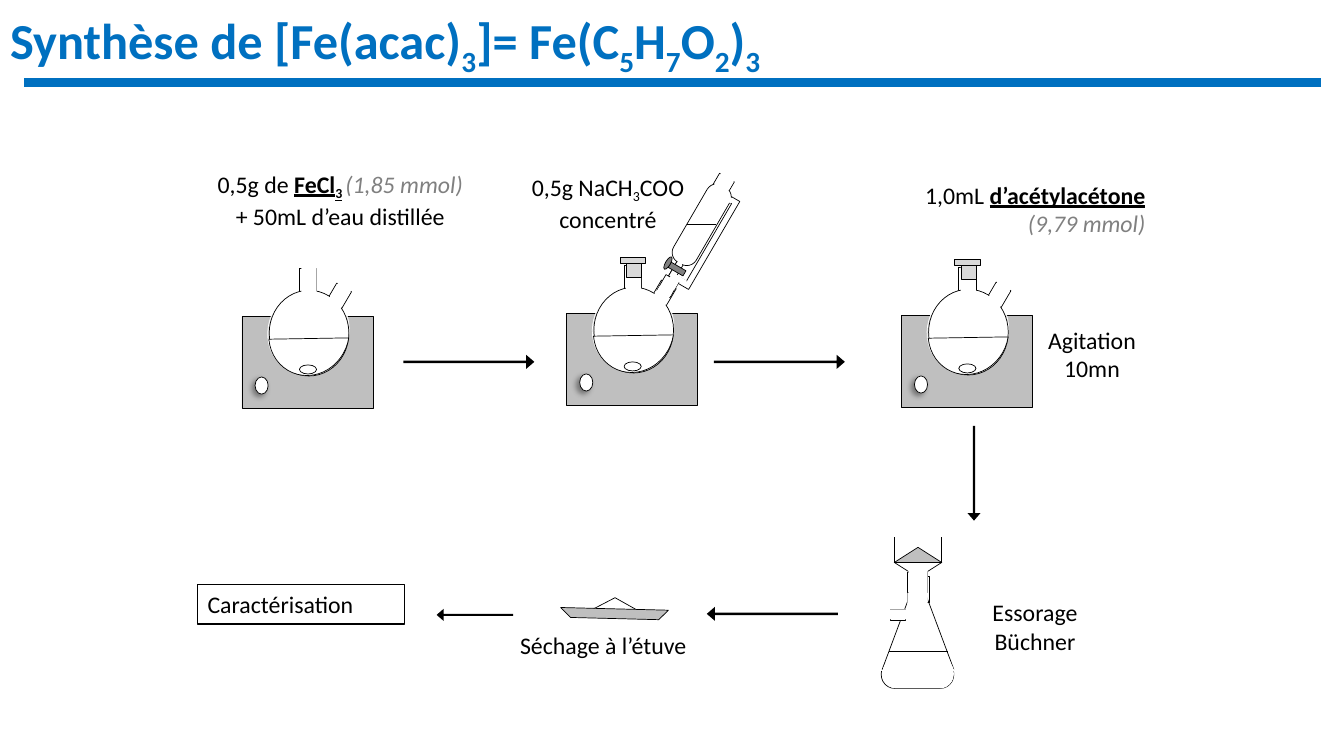
from lxml.etree import SubElement
from pptx import Presentation
from pptx.dml.color import RGBColor
from pptx.enum.shapes import MSO_CONNECTOR, MSO_SHAPE
from pptx.enum.text import MSO_ANCHOR, MSO_AUTO_SIZE, PP_ALIGN
from pptx.oxml.ns import qn
from pptx.util import Inches, Pt

BLUE = RGBColor(0x00, 0x70, 0xC0)
BLACK = RGBColor(0x00, 0x00, 0x00)
WHITE = RGBColor(0xFF, 0xFF, 0xFF)
PLATE = RGBColor(0xBF, 0xBF, 0xBF)
STOPPER = RGBColor(0xD9, 0xD9, 0xD9)
TAP = RGBColor(0x80, 0x80, 0x80)
FONT = "Calibri"
SLIDE_W, SLIDE_H = 13.33, 7.5

RECT, OVAL, CHORD = MSO_SHAPE.RECTANGLE, MSO_SHAPE.OVAL, MSO_SHAPE.CHORD
TRIANGLE, ROUND2 = MSO_SHAPE.ISOSCELES_TRIANGLE, MSO_SHAPE.ROUND_2_SAME_RECTANGLE
SUB = {"baseline": -25000}
KEY = {"bold": True, "underline": True}
AMOUNT = {"italic": True, "color": TAP}


def add_runs(p, runs, size, color=BLACK):
    """Fill a paragraph from (text, format) pairs; a lone newline is a line break."""
    for text, style in runs:
        if text == "\n":
            p.add_line_break()
            continue
        r = p.add_run()
        r.text = text
        values = {"name": FONT, "size": Pt(size), **style}
        r.font.color.rgb = values.pop("color", color)
        baseline = values.pop("baseline", None)
        for name, value in values.items():
            setattr(r.font, name, value)
        if baseline:
            r._r.get_or_add_rPr().set("baseline", str(baseline))


def add_label(s, box, lines, align=PP_ALIGN.CENTER, wrap=False):
    tf = s.shapes.add_textbox(*map(Inches, box)).text_frame
    tf.word_wrap = wrap
    tf.auto_size = MSO_AUTO_SIZE.SHAPE_TO_FIT_TEXT
    for i, runs in enumerate(lines):
        p = tf.paragraphs[0] if i == 0 else tf.add_paragraph()
        p.alignment = align
        add_runs(p, runs, 17)


def add_line(shapes, x1, y1, x2, y2, color=BLACK, weight=0.75):
    line = shapes.add_connector(MSO_CONNECTOR.STRAIGHT, *map(Inches, (x1, y1, x2, y2)))
    line.line.color.rgb = color
    line.line.width = Pt(weight)
    SubElement(line._element.spPr, qn("a:effectLst"))


def add_part(shapes, origin, kind, box, fill=WHITE, line=BLACK, rot=0, adj=(), weight=0.5):
    x, y, w, h = box
    sp = shapes.add_shape(kind, *map(Inches, (origin[0] + x, origin[1] + y, w, h)))
    sp.shadow.inherit = False
    sp.rotation = rot
    for i, value in enumerate(adj):
        sp.adjustments[i] = value
    if fill is None:
        sp.fill.background()
    else:
        sp.fill.solid()
        sp.fill.fore_color.rgb = fill
    if line is None:
        sp.line.fill.background()
    else:
        sp.line.color.rgb = line
        sp.line.width = Pt(weight)
    return sp


def add_knob_shadow(sp):
    effects = sp._element.spPr.find(qn("a:effectLst"))
    shadow = SubElement(effects, qn("a:outerShdw"), blurRad=str(Pt(4)), dist=str(Pt(3)),
                        dir=str(135 * 60000), algn="tr", rotWithShape="0")
    color = SubElement(shadow, qn("a:srgbClr"), val=str(BLACK))
    SubElement(color, qn("a:alpha"), val="40000")


def add_title(s):
    title = s.shapes.title
    for name, value in {"left": 0, "top": 0, "width": SLIDE_W, "height": 0.82}.items():
        setattr(title, name, Inches(value))
    tf = title.text_frame
    tf.auto_size = MSO_AUTO_SIZE.NONE
    tf.vertical_anchor = MSO_ANCHOR.MIDDLE
    p = tf.paragraphs[0]
    p.alignment = PP_ALIGN.LEFT
    p.line_spacing = 0.9
    pieces = ["Synthèse de [Fe(acac)", "3", "]= Fe(C", "5", "H", "7", "O", "2", ")", "3"]
    add_runs(p, [(t, {"bold": True, **(SUB if i % 2 else {})}) for i, t in enumerate(pieces)],
             36, BLUE)
    add_line(s.shapes, 0.24, 0.82, 13.1, 0.82, BLUE, 6)


def add_flask(s, x, y, stoppered=False):
    """Two-necked flask on a stirring plate whose top left corner is at x, y."""
    shapes = s.shapes.add_group_shape().shapes
    add_part(shapes, (x, y), RECT, (0, 0, 1.3, 0.91), PLATE)
    add_knob_shadow(add_part(shapes, (x, y), OVAL, (0.13, 0.6, 0.13, 0.17)))
    parts = [
        (CHORD, (0.23, -0.25, 0.86, 0.8), STOPPER, WHITE, 292.8, (27, 162.36)),
        (RECT, (0.85, -0.31, 0.17, 0.31), WHITE, BLACK, 30.4),
        (RECT, (0.57, -0.48, 0.17, 0.31)),
        (OVAL, (0.27, -0.26, 0.79, 0.85)),
        (RECT, (0.86, -0.33, 0.15, 0.35), WHITE, None, 30.4),
        (RECT, (0.59, -0.49, 0.15, 0.35), WHITE, None),
        (CHORD, (0.24, -0.23, 0.85, 0.79), WHITE, BLACK, 292.7, (44.47, 143.22)),
        (OVAL, (0.57, 0.48, 0.17, 0.09)),
    ]
    if stoppered:
        parts += [(RECT, (0.59, -0.5, 0.15, 0.14), STOPPER),
                  (RECT, (0.53, -0.56, 0.25, 0.06), STOPPER)]
    for part in parts:
        add_part(shapes, (x, y), *part)


def add_dropping_funnel(s, x, y):
    shapes = s.shapes.add_group_shape().shapes
    tilt = 30.2
    for kind, box, fill, line, rot, adj in [
        (MSO_SHAPE.FRAME, (0.36, 0.14, 0.24, 1.01), WHITE, BLACK, tilt, (0.25,)),
        (RECT, (0.58, 0.02, 0.17, 0.18), WHITE, BLACK, tilt, ()),
        (RECT, (0.17, 0.86, 0.07, 0.18), WHITE, BLACK, tilt, ()),
        (MSO_SHAPE.ROUNDED_RECTANGLE, (0.33, 0.06, 0.26, 0.88), WHITE, BLACK, tilt, (0.42,)),
        (RECT, (0.05, 1.02, 0.15, 0.18), WHITE, BLACK, tilt, ()),
        (RECT, (0.13, 0.91, 0.17, 0.06), TAP, BLACK, tilt, ()),
        (OVAL, (0.1, 0.81, 0.05, 0.14), TAP, BLACK, tilt, ()),
        (RECT, (0.13, 0.99, 0.1, 0.14), WHITE, None, tilt, ()),
        (RECT, (0, 1.13, 0.14, 0.14), WHITE, None, tilt, ()),
        (RECT, (0.18, 1.02, 0.13, 0.05), WHITE, None, tilt, ()),
        (RECT, (0.64, 0.21, 0.13, 0.05), WHITE, None, tilt, ()),
        (RECT, (0.61, 0, 0.15, 0.16), WHITE, None, tilt, ()),
        (RECT, (0.2, 0.81, 0.14, 0.05), WHITE, None, tilt + 270, ()),
    ]:
        add_part(shapes, (x, y), kind, box, fill, line, rot, adj)
    add_line(shapes, x + 0.31, y + 0.5, x + 0.6, y + 0.5)


def add_buchner(s, x, y):
    shapes = s.shapes.add_group_shape().shapes
    for part in [
        (RECT, (0.26, 0.51, 0.22, 0.26)),
        (ROUND2, (0, 1.33, 0.72, 0.29), WHITE, BLACK, 180, (0.47, 0.5)),
        (RECT, (0, 1.32, 0.72, 0.12), WHITE, WHITE),
        (TRIANGLE, (0.01, 0.48, 0.71, 0.95), None),
        (RECT, (0.26, 0.35, 0.2, 0.52), WHITE, None),
        (ROUND2, (0.01, 1.32, 0.71, 0.3), WHITE, None, 180, (0.47, 0.5)),
        (MSO_SHAPE.TRAPEZOID, (0.02, 1.17, 0.7, 0.27), WHITE, WHITE, 0, (0.46,)),
        (RECT, (0.11, 0.81, 0.11, 0.15), WHITE, BLACK, 270),
        (RECT, (0.11, 0.73, 0.1, 0.31), WHITE, None, 270),
        (RECT, (0.13, 0.07, 0.47, 0.3)),
        (TRIANGLE, (0.13, 0.22, 0.47, 0.15), PLATE),
        (RECT, (0.09, 0, 0.56, 0.11), WHITE, WHITE),
        (TRIANGLE, (0.13, 0.37, 0.47, 0.15), WHITE, BLACK, 180),
        (RECT, (0.26, 0.47, 0.2, 0.2)),
        (RECT, (0.27, 0.42, 0.19, 0.33), WHITE, None),
    ]:
        add_part(shapes, (x, y), *part)
    add_line(shapes, x + 0.08, y + 1.25, x + 0.66, y + 1.25)


def add_drying_dish(s, x, y):
    shapes = s.shapes.add_group_shape().shapes
    add_part(shapes, (x, y), TRIANGLE, (0.12, 0.26, 0.52, 0.14), adj=(0.52,))
    add_part(shapes, (x, y), MSO_SHAPE.DIAGONAL_STRIPE, (0, 0, 0.77, 0.74), PLATE,
             rot=225.3, adj=(0.82,))


def add_steps(s):
    for x, y, w, h, rot in [(4, 3.52, 1.3, 0.14, 0), (7.08, 3.52, 1.3, 0.14, 0),
                            (9.19, 4.63, 0.94, 0.13, 90), (7.01, 6.02, 1.3, 0.14, 180),
                            (4.33, 6.04, 0.76, 0.12, 180)]:
        add_part(s.shapes, (x, y), MSO_SHAPE.RIGHT_ARROW, (0, 0, w, h), BLACK, None, rot,
                 (0.17, 0.58))
    add_label(s, (2.04, 1.63, 2.67, 0.67), [
        [("0,5g de ", {}), ("FeCl", KEY), ("3", {**KEY, **SUB}), (" ", SUB),
         ("(1,85 mmol)", AMOUNT)],
        [("+ 50mL d’eau distillée", {})]])
    add_label(s, (5.16, 1.66, 1.74, 0.67), [
        [("0,5g NaCH", {}), ("3", SUB), ("COO", {}), ("\n", {}), ("concentré", {})]])
    add_label(s, (8.81, 1.74, 2.65, 0.67), [
        [("1,0mL ", {}), ("d’acétylacétone", KEY), ("\n", {}), ("(9,79 mmol)", AMOUNT)]],
        PP_ALIGN.RIGHT, True)
    add_label(s, (10.29, 3.18, 1.08, 0.67), [[("Agitation", {})], [("10mn", {})]])
    add_label(s, (9.74, 5.88, 1.05, 0.67), [[("Essorage", {})], [("Büchner", {})]])
    add_label(s, (5.06, 6.21, 1.87, 0.39), [[("Séchage à l’étuve", {})]], PP_ALIGN.LEFT)
    result = add_part(s.shapes, (1.96, 5.8), RECT, (0, 0, 2.05, 0.39), weight=1)
    p = result.text_frame.paragraphs[0]
    p.alignment = PP_ALIGN.LEFT
    add_runs(p, [("Caractérisation", {})], 17)


def main():
    prs = Presentation()
    prs.slide_width, prs.slide_height = Inches(SLIDE_W), Inches(SLIDE_H)
    s = prs.slides.add_slide(prs.slide_layouts[5])
    add_title(s)
    add_buchner(s, 8.74, 5.21)
    add_flask(s, 2.4, 3.14)
    add_flask(s, 5.62, 3.11, stoppered=True)
    add_dropping_funnel(s, 6.5, 1.73)
    add_flask(s, 8.94, 3.13, stoppered=True)
    add_drying_dish(s, 5.71, 5.67)
    add_steps(s)
    prs.save("out.pptx")


if __name__ == "__main__":
    main()
